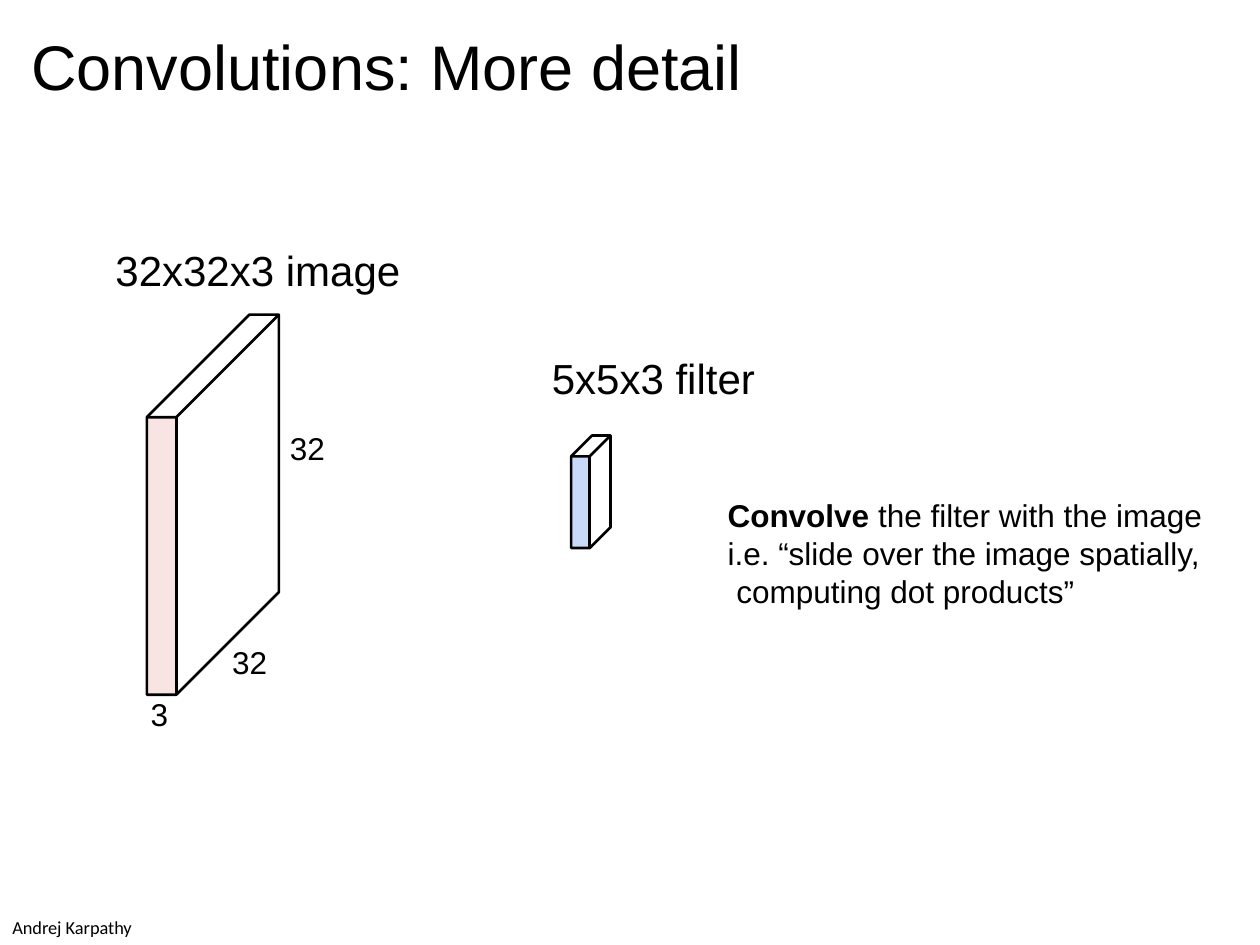
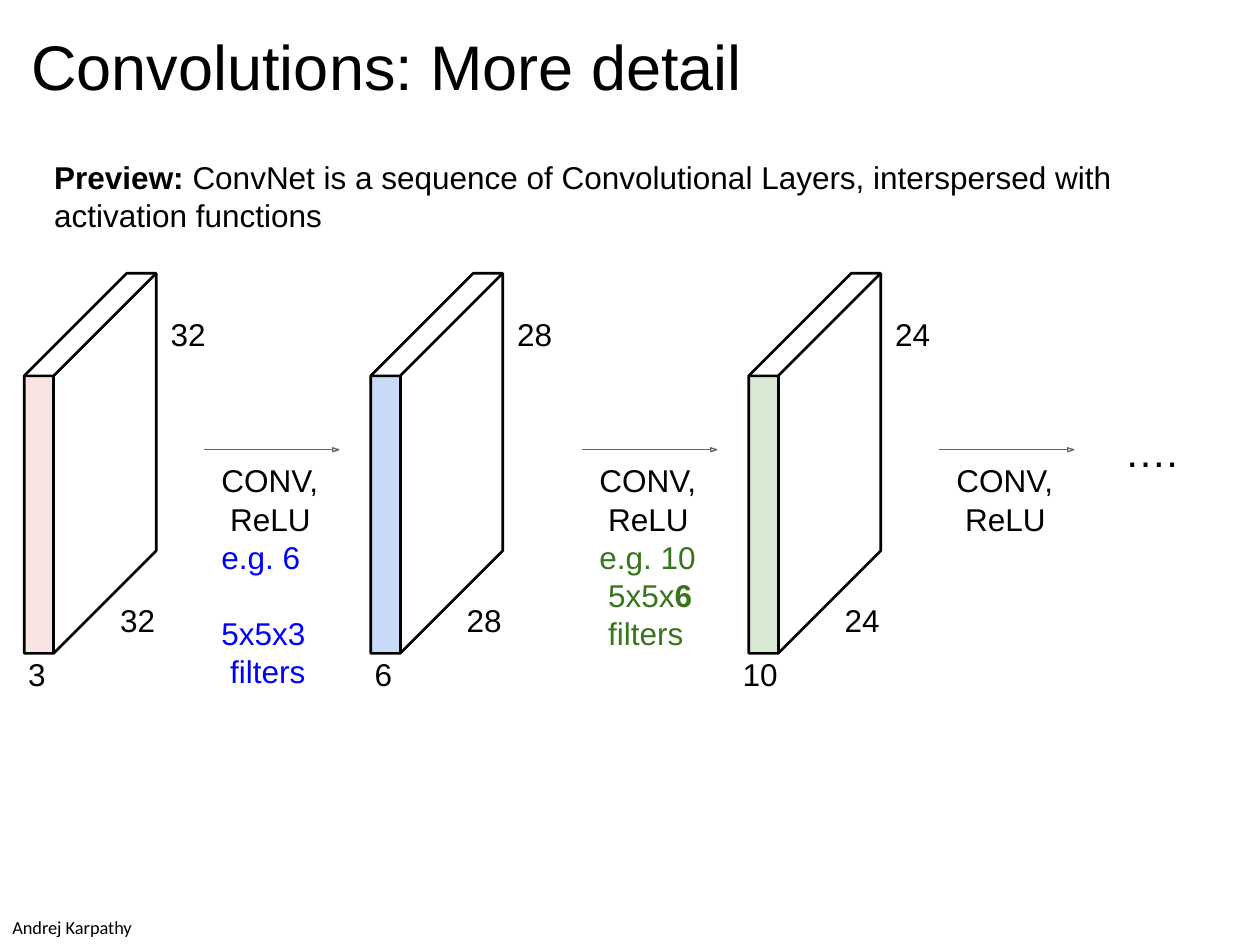
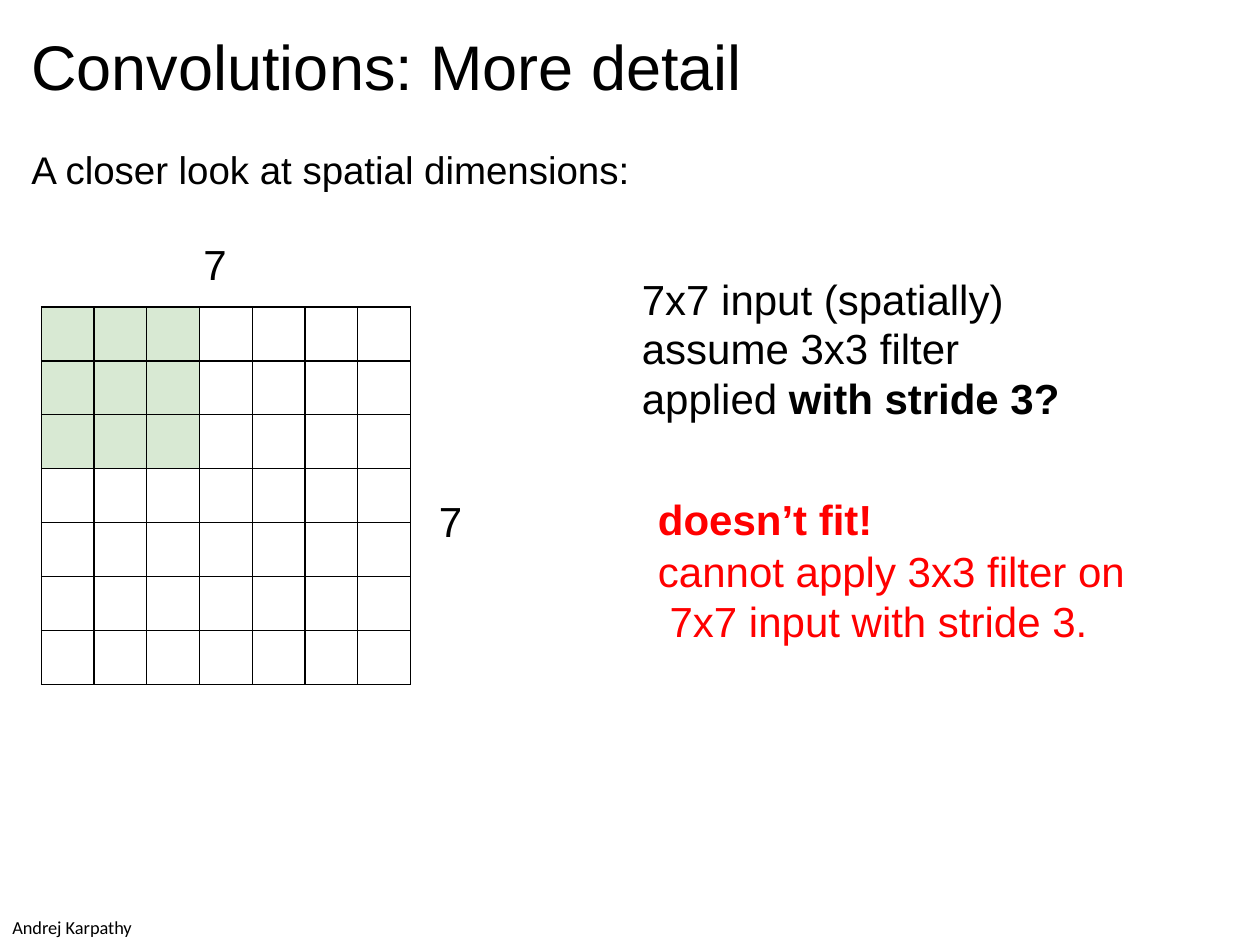
from dataclasses import dataclass

from lxml.etree import SubElement
from pptx import Presentation
from pptx.dml.color import RGBColor as Color
from pptx.enum.shapes import MSO_CONNECTOR as Connector
from pptx.oxml.ns import qn
from pptx.util import Pt


@dataclass(frozen=True)
class Theme:
    # Fonts and type sizes
    font: str = "Arial"
    footer_font: str = "Calibri"
    title: float = 36
    large: float = 24
    subtitle: float = 22
    body: float = 18
    footer: float = 10.5
    # Colours
    ink: str = "000000"
    arrow: str = "666666"
    pink: str = "F4CCCC"
    blue: str = "C8DAF7"
    green: str = "D8E9D3"
    blue_text: str = "0000FF"
    green_text: str = "38751C"
    red_text: str = "FF0000"
    # Line widths and spacing
    outline: float = 1.5
    thin: float = 0.75
    spacing: float = 1.01
    pink_opacity: int = 52


@dataclass(frozen=True)
class Slab:
    """Size of a block: its front face and its depth to the upper right."""
    width: float
    height: float
    depth: float


THEME = Theme()
IMAGE_SLAB = Slab(16.8, 158.6, 58.6)
FILTER_SLAB = Slab(10.6, 52.4, 11.9)


class Painter:
    def __init__(self, deck, theme):
        self.deck = deck
        self.theme = theme
        self.page = None

    def new_page(self):
        theme = self.theme
        self.page = self.deck.slides.add_slide(self.deck.slide_layouts[6])
        self.text(18, 16, 684, 44, [["Convolutions: More detail"]], theme.title, indent=0)
        self.text(0, 520, 88, 20, [["Andrej Karpathy"]], theme.footer, indent=0,
                  font=theme.footer_font, inset=(7.2, 3.6))

    def text(self, left, top, width, height, paragraphs, size, color=None, indent=1,
             spacing=None, before=(), font=None, inset=(0, 0)):
        """Each paragraph is a list of strings or (string, bold, colour) spans."""
        box = self.page.shapes.add_textbox(Pt(left), Pt(top), Pt(width), Pt(height))
        frame = box.text_frame
        frame.word_wrap = True
        frame.margin_left = frame.margin_right = Pt(inset[0])
        frame.margin_top = frame.margin_bottom = Pt(inset[1])
        for index, spans in enumerate(paragraphs):
            para = frame.add_paragraph() if index else frame.paragraphs[0]
            para._p.get_or_add_pPr().set("marL", str(Pt(indent)))
            if spacing:
                para.line_spacing = spacing
            if index < len(before):
                para.space_before = Pt(before[index])
            for span in spans:
                words, bold, tint = (span, False, None) if isinstance(span, str) else span
                self.span(para, words, bold, tint or color or self.theme.ink, size, font)

    def span(self, para, words, bold, color, size, font):
        for index, line in enumerate(words.split("\n")):
            if index:
                para.add_line_break()
            run = para.add_run()
            run.text = line
            run.font.name = font or self.theme.font
            run.font.size = Pt(size)
            run.font.bold = bold
            run.font.color.rgb = Color.from_string(color)

    def outline(self, points, close=True, fill=None, line=None, weight=None):
        points = [(Pt(x), Pt(y)) for x, y in points]
        builder = self.page.shapes.build_freeform(*points[0], scale=1.0)
        builder.add_line_segments(points[1:], close=close)
        shape = builder.convert_to_shape()
        shape.shadow.inherit = False
        if fill:
            shape.fill.solid()
            shape.fill.fore_color.rgb = Color.from_string(fill)
        else:
            shape.fill.background()
        if line:
            shape.line.color.rgb = Color.from_string(line)
            shape.line.width = Pt(weight)
        else:
            shape.line.fill.background()
        return shape

    def line(self, start, end, color, weight):
        line = self.page.shapes.add_connector(
            Connector.STRAIGHT, *(Pt(value) for value in (*start, *end)))
        line.line.color.rgb = Color.from_string(color)
        line.line.width = Pt(weight)
        SubElement(line._element.spPr, qn("a:effectLst"))

    def arrow(self, left, middle):
        color, weight = self.theme.arrow, self.theme.thin
        neck, tip = left + 73.5, left + 77
        self.line((left, middle), (neck, middle), color, weight)
        self.outline([(neck, middle + 1.1), (tip, middle), (neck, middle - 1.1)],
                     line=color, weight=weight)

    def slab(self, left, top, slab, fill, opacity=100):
        right, bottom = left + slab.width, top + slab.height
        depth = slab.depth
        ink = {"line": self.theme.ink, "weight": self.theme.outline}
        front = self.outline([(left, top), (right, top), (right, bottom), (left, bottom)],
                             fill=fill)
        if opacity < 100:
            color = front._element.spPr.find(qn("a:solidFill"))[0]
            SubElement(color, qn("a:alpha"), val=str(opacity * 1000))
        self.outline([(left, top), (left + depth, top - depth), (right + depth, top - depth),
                      (right + depth, bottom - depth), (right, bottom), (left, bottom)], **ink)
        self.outline([(left, top), (right, top), (right + depth, top - depth)],
                     close=False, **ink)
        self.line((right, top), (right, bottom), self.theme.ink, self.theme.outline)

    def number(self, left, top, words):
        size = self.theme.body
        self.text(left, top, 10 * len(words) + 2.4, 22, [[words]], size)

    def grid(self, left, top, width, height, count, marked):
        """Square table whose first marked rows and columns are shaded."""
        frame = self.page.shapes.add_table(count, count, Pt(left), Pt(top),
                                           Pt(width), Pt(height))
        table = frame.table
        table.first_row = table.horz_banding = False
        for track in range(count):
            table.columns[track].width = Pt(width / count)
            table.rows[track].height = Pt(height / count)
        for row in range(count):
            for column in range(count):
                cell = table.cell(row, column)
                self.border(cell)
                if row < marked and column < marked:
                    cell.fill.solid()
                    cell.fill.fore_color.rgb = Color.from_string(self.theme.green)
                else:
                    cell.fill.background()

    def border(self, cell):
        properties = cell._tc.get_or_add_tcPr()
        for side in ("a:lnL", "a:lnR", "a:lnT", "a:lnB"):
            edge = SubElement(properties, qn(side), w=str(Pt(self.theme.thin)))
            paint = SubElement(edge, qn("a:solidFill"))
            SubElement(paint, qn("a:srgbClr"), val=self.theme.ink)


def filter_page(painter):
    theme = painter.theme
    painter.new_page()

    # Image block with its dimensions
    left, top = 84, 238.4
    painter.slab(left, top, IMAGE_SLAB, theme.pink, theme.pink_opacity)
    painter.number(left + 47.6, top + 129, "32")
    painter.number(left + 80.6, top + 7, "32")
    painter.number(left + 1, top + 159, "3")
    painter.text(65, 139.8, 170, 29, [["32x32x3 image"]], theme.large)

    # Filter block
    painter.slab(326.4, 260.8, FILTER_SLAB, theme.blue)
    painter.text(314.4, 201.6, 122, 29, [["5x5x3 filter"]], theme.large)

    # Explanation
    painter.text(414.8, 283, 280, 66, [
        [("Convolve ", True, None), "the filter with the image"],
        ["i.e. “slide over the image spatially,\n computing dot products”"],
    ], theme.body, spacing=theme.spacing)


def sequence_page(painter):
    theme = painter.theme
    painter.new_page()
    painter.text(18, 90, 684, 44, [[
        ("Preview: ", True, None),
        "ConvNet is a sequence of Convolutional Layers, interspersed with "
        "activation functions",
    ]], theme.body, indent=13, spacing=theme.spacing)

    # Layers: left edge, side, thickness, shift of the thickness label, fill, opacity
    top = 214.8
    layers = [
        (13.9, "32", "3", 1.2, theme.pink, theme.pink_opacity),
        (211.9, "28", "6", 1.2, theme.blue, 100),
        (427.9, "24", "10", -4.5, theme.green, 100),
    ]
    for left, side, thickness, shift, fill, opacity in layers:
        painter.slab(left, top, IMAGE_SLAB, fill, opacity)
        painter.number(left + 53.8, top + 128.8, side)
        painter.number(left + 82.6, top - 34.6, side)
        painter.number(left + shift, top + 159.6, thickness)

    # Steps between the layers
    blue, green = theme.blue_text, theme.green_text
    steps = [
        (116.6, [[("e.g. 6", False, blue)], [("5x5x3\n filters", False, blue)]]),
        (332.6, [[("e.g. 10\n 5x5x", False, green), ("6", True, green),
                  ("\n filters", False, green)]]),
        (536.6, []),
    ]
    for left, details in steps:
        painter.arrow(left, 257)
        painter.text(left + 8.9, 263.5, 59, 110 if details else 44,
                     [["CONV,\n ReLU"], *details], theme.body,
                     spacing=theme.spacing, before=(0, 0, 21.6))
    painter.text(641.6, 243.4, 32, 29, [["…."]], theme.large)


def stride_page(painter):
    theme = painter.theme
    painter.new_page()
    painter.text(18, 83.6, 684, 27, [["A closer look at spatial dimensions:"]],
                 theme.subtitle, indent=0)

    # Input grid with its dimensions
    painter.grid(23.6, 175.4, 211, 216, count=7, marked=3)
    for left, top in ((115.2, 136), (249.8, 283)):
        painter.text(left, top, 15.2, 29, [["7"]], theme.large)

    # Question and answer
    painter.text(365.8, 156.4, 241, 88, [[
        "7x7 input (spatially)\nassume 3x3 filter\napplied ",
        ("with stride 3?", True, None),
    ]], theme.large, spacing=Pt(28.5))
    painter.text(375, 282.4, 270, 88, [
        [("doesn’t fit!", True, None)],
        ["cannot apply 3x3 filter on\n 7x7 input with stride 3."],
    ], theme.large, color=theme.red_text, spacing=Pt(28.5), before=(0, 1.1))


def main():
    deck = Presentation()
    deck.slide_width, deck.slide_height = Pt(720), Pt(540)
    painter = Painter(deck, THEME)
    for build in (filter_page, sequence_page, stride_page):
        build(painter)
    deck.save("out.pptx")


if __name__ == "__main__":
    main()
